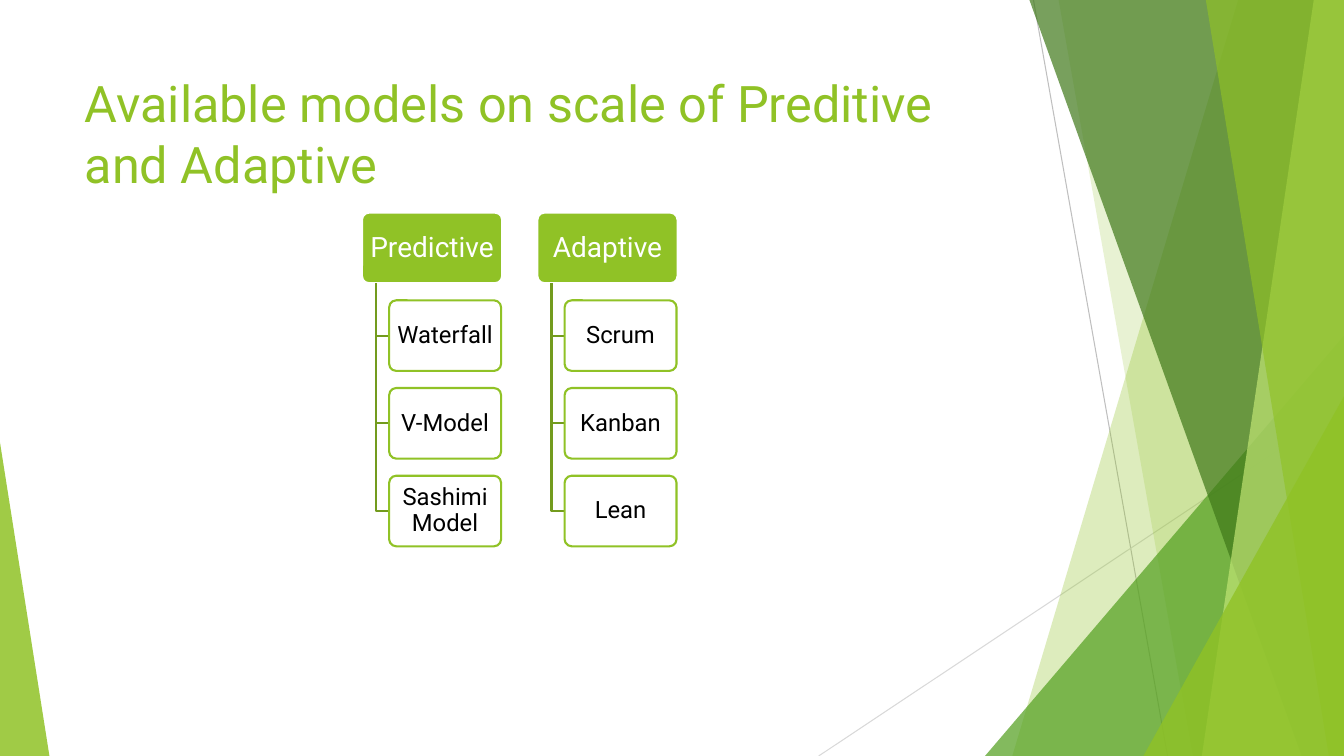
from dataclasses import dataclass

from lxml import etree
from pptx import Presentation
from pptx.dml.color import RGBColor
from pptx.enum.shapes import MSO_CONNECTOR, MSO_SHAPE
from pptx.enum.text import MSO_ANCHOR, MSO_AUTO_SIZE, PP_ALIGN
from pptx.oxml.ns import qn
from pptx.util import Inches, Pt

STRAIGHT = MSO_CONNECTOR.STRAIGHT
TRIANGLE = MSO_SHAPE.ISOSCELES_TRIANGLE
ROUNDED = MSO_SHAPE.ROUNDED_RECTANGLE
TOP, MIDDLE = MSO_ANCHOR.TOP, MSO_ANCHOR.MIDDLE
LEFT, CENTER = PP_ALIGN.LEFT, PP_ALIGN.CENTER

WIDTH, HEIGHT = 13.33, 7.5
FONT = "Roboto"
LIME, GREEN, FOREST, PALE = "90C226", "54A021", "3F7819", "C0E474"
BRANCH, WHITE, BLACK = "739B1E", "FFFFFF", "000000"

# Hierarchy grid
GRID_LEFT, GRID_TOP = 3.59, 2.11
COLUMN, ROW = 1.74, 0.87
BOX_HEIGHT, HEAD_WIDTH, MODEL_WIDTH = 0.7, 1.39, 1.11
TRUNK, INDENT = 0.14, 0.27


@dataclass
class Ray:
    """A full-height band, given by its top and bottom x positions."""
    top: tuple[float, float]
    bottom: tuple[float, float]
    color: str
    opacity: int


@dataclass
class Wedge:
    """A right triangle standing on the bottom edge of the slide."""
    left: float
    width: float
    height: float
    apex: float
    color: str
    opacity: int


@dataclass
class Family:
    name: str
    models: list[str]


HAIRLINES = [((10.25, 0), (11.58, HEIGHT), "BFBFBF"),
             ((WIDTH, 4.03), (8.12, HEIGHT), "D9D9D9")]

DECORATION = [
    Ray((12.28, WIDTH), (10.04, WIDTH), LIME, 30),
    Ray((10.5, WIDTH), (11.83, WIDTH), LIME, 20),
    Wedge(9.77, 3.56, 4.17, 1, GREEN, 72),
    Ray((10.21, WIDTH), (12.91, WIDTH), FOREST, 70),
    Ray((13.03, WIDTH), (11.92, WIDTH), PALE, 70),
    Ray((11.96, WIDTH), (13.18, WIDTH), LIME, 65),
    Wedge(11.34, 1.99, 3.57, 1, LIME, 80),
    Wedge(0, 0.49, 3.11, 0, LIME, 85),
]

FAMILIES = [Family("Predictive", ["Waterfall", "V-Model", "Sashimi Model"]),
            Family("Adaptive", ["Scrum", "Kanban", "Lean"])]


def rgb(color: str) -> RGBColor:
    return RGBColor.from_string(color)


def paint(shape, color: str, opacity: int = 100) -> None:
    shape.shadow.inherit = False
    shape.fill.solid()
    shape.fill.fore_color.rgb = rgb(color)
    if opacity < 100:
        node = shape.fill._xPr.find(qn("a:solidFill"))[0]
        etree.SubElement(node, qn("a:alpha")).set("val", str(opacity * 1000))


def outline(shape, color: str, width: float) -> None:
    shape.line.color.rgb = rgb(color)
    shape.line.width = Pt(width)


def add_path(page, points: list[tuple[float, float]], close: bool):
    corners = [(Inches(x), Inches(y)) for x, y in points]
    builder = page.shapes.build_freeform(*corners[0])
    builder.add_line_segments(corners[1:], close=close)
    return builder.convert_to_shape()


def add_hairline(page, start: tuple, end: tuple, color: str) -> None:
    line = page.shapes.add_connector(STRAIGHT, *map(Inches, start + end))
    outline(line, color, 0.75)
    etree.SubElement(line._element.spPr, qn("a:effectLst"))


def add_decoration(page, part: Ray | Wedge) -> None:
    if isinstance(part, Ray):
        shape = add_path(page, [(part.top[0], 0), (part.top[1], 0),
                                (part.bottom[1], HEIGHT), (part.bottom[0], HEIGHT)], True)
    else:
        shape = page.shapes.add_shape(TRIANGLE, Inches(part.left), Inches(HEIGHT - part.height),
                                      Inches(part.width), Inches(part.height))
        shape.adjustments[0] = part.apex
    paint(shape, part.color, part.opacity)
    shape.line.fill.background()


def write(frame, text: str, size: float, color: str, align, anchor) -> None:
    frame.word_wrap = True
    frame.auto_size = MSO_AUTO_SIZE.NONE
    frame.vertical_anchor = anchor
    para = frame.paragraphs[0]
    para.alignment = align
    span = para.add_run()
    span.text = text
    span.font.name, span.font.size = FONT, Pt(size)
    span.font.color.rgb = rgb(color)


def add_title(page, text: str) -> None:
    title = page.shapes.title
    title.left, title.top = Inches(0.74), Inches(0.67)
    title.width, title.height = Inches(9.4), Inches(1.44)
    write(title.text_frame, text, 36, LIME, LEFT, TOP)


def add_box(page, left: float, top: float, width: float, text: str, is_head: bool) -> None:
    box = page.shapes.add_shape(ROUNDED, Inches(left), Inches(top),
                                Inches(width), Inches(BOX_HEIGHT))
    box.adjustments[0] = 0.1
    paint(box, LIME if is_head else WHITE, 100 if is_head else 90)
    outline(box, WHITE if is_head else LIME, 1.5)
    frame = box.text_frame
    frame.margin_left = frame.margin_right = Inches(0.06)
    frame.margin_top = frame.margin_bottom = Inches(0.04)
    write(frame, text, 20 if is_head else 17, WHITE if is_head else BLACK, CENTER, MIDDLE)
    frame.paragraphs[0].line_spacing = 0.9


def add_family(page, family: Family, column: int) -> None:
    left = GRID_LEFT + column * COLUMN
    add_box(page, left, GRID_TOP, HEAD_WIDTH, family.name, True)
    for row, model in enumerate(family.models, start=1):
        top = GRID_TOP + row * ROW
        middle = top + BOX_HEIGHT / 2
        branch = add_path(page, [(left + TRUNK, GRID_TOP + BOX_HEIGHT),
                                 (left + TRUNK, middle), (left + INDENT, middle)], False)
        branch.shadow.inherit = False
        branch.fill.background()
        outline(branch, BRANCH, 1.5)
        add_box(page, left + INDENT, top, MODEL_WIDTH, model, False)


def main() -> None:
    deck = Presentation()
    deck.slide_width, deck.slide_height = Inches(WIDTH), Inches(HEIGHT)
    page = deck.slides.add_slide(deck.slide_layouts.get_by_name("Title Only"))
    for start, end, color in HAIRLINES:
        add_hairline(page, start, end, color)
    for part in DECORATION:
        add_decoration(page, part)
    add_title(page, "Available models on scale of Preditive and Adaptive")
    for column, family in enumerate(FAMILIES):
        add_family(page, family, column)
    deck.save("out.pptx")


if __name__ == "__main__":
    main()
